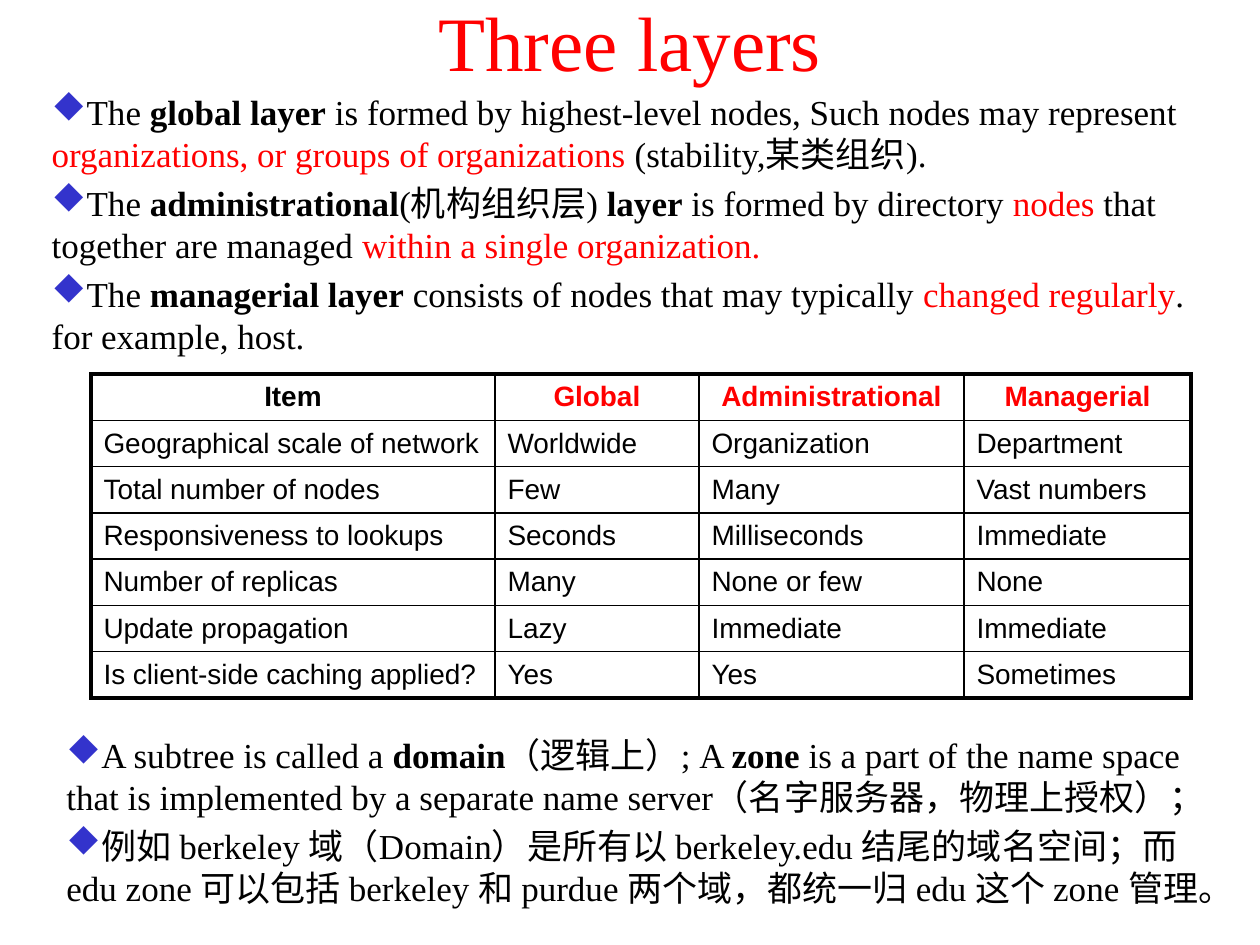
from dataclasses import dataclass

from lxml import etree
from pptx import Presentation
from pptx.dml.color import RGBColor
from pptx.enum.text import MSO_ANCHOR, MSO_AUTO_SIZE, PP_ALIGN
from pptx.oxml.ns import qn
from pptx.util import Emu, Pt

MIDDLE, TOP = MSO_ANCHOR.MIDDLE, MSO_ANCHOR.TOP
CENTER, LEFT = PP_ALIGN.CENTER, PP_ALIGN.LEFT
NO_FIT = MSO_AUTO_SIZE.NONE

PX_PER_INCH = 126
SERIF, SANS = "Times New Roman", "Arial"
BLACK, RED, BLUE = "000000", "FF0000", "3333CC"
THIN, THICK = 1, 2.25


@dataclass
class Area:
    left: int
    top: int
    width: int
    height: int


@dataclass
class Span:
    text: str
    bold: bool = False
    color: str = BLACK


def px(length: int) -> Emu:
    return Emu(round(length * 914400 / PX_PER_INCH))


def rgb(value: str) -> RGBColor:
    return RGBColor.from_string(value)


def place(shape, area: Area) -> None:
    shape.left, shape.top = px(area.left), px(area.top)
    shape.width, shape.height = px(area.width), px(area.height)


def add_bullet(para) -> None:
    props = para._p.get_or_add_pPr()
    props.set("marL", "0")
    props.set("indent", "0")
    color = etree.SubElement(props, qn("a:buClr"))
    etree.SubElement(color, qn("a:srgbClr"), val=BLUE)
    etree.SubElement(props, qn("a:buFont"), typeface="Wingdings")
    etree.SubElement(props, qn("a:buChar"), char="u")


def write_list(box, items: list[list[Span]]) -> None:
    frame = box.text_frame
    frame.word_wrap = True
    frame.auto_size = NO_FIT
    frame.vertical_anchor = TOP
    for index, spans in enumerate(items):
        para = frame.add_paragraph() if index else frame.paragraphs[0]
        para.line_spacing = Pt(24)
        para.space_before = Pt(4 if index else 0)
        add_bullet(para)
        para.font.name, para.font.size = SERIF, Pt(20)
        for span in spans:
            run = para.add_run()
            run.text = span.text
            run.font.bold = span.bold
            run.font.color.rgb = rgb(span.color)


def set_border(cell, side: str, width: float) -> None:
    line = etree.SubElement(cell._tc.get_or_add_tcPr(), qn(f"a:{side}"), w=str(Pt(width)))
    fill = etree.SubElement(line, qn("a:solidFill"))
    etree.SubElement(fill, qn("a:srgbClr"), val=BLACK)


def write_cell(cell, text: str, header: bool, color: str) -> None:
    cell.vertical_anchor = MIDDLE
    cell.text = text
    para = cell.text_frame.paragraphs[0]
    para.alignment = CENTER if header else LEFT
    para.font.name, para.font.size = SANS, Pt(16)
    para.font.bold = header
    para.font.color.rgb = rgb(color)


def draw_table(page, area: Area, widths: list[int], rows: list[list[str]]) -> None:
    table = page.shapes.add_table(
        len(rows), len(widths), px(area.left), px(area.top), px(area.width), px(area.height)
    ).table
    table.horz_banding = table.first_row = False
    for column, width in zip(table.columns, widths):
        column.width = px(width)
    last_row, last_col = len(rows) - 1, len(widths) - 1
    for r, texts in enumerate(rows):
        for c, text in enumerate(texts):
            cell = table.cell(r, c)
            write_cell(cell, text, r == 0, RED if r == 0 and c > 0 else BLACK)
            # The outer frame is heavier than the inner grid
            outer = {"lnL": c == 0, "lnR": c == last_col, "lnT": r == 0, "lnB": r == last_row}
            for side, on_frame in outer.items():
                set_border(cell, side, THICK if on_frame else THIN)
            cell.fill.background()


LAYERS = [
    [
        Span("The "),
        Span("global layer", bold=True),
        Span(" is formed by highest-level nodes, Such nodes may represent "),
        Span("organizations, or groups of organizations ", color=RED),
        Span("(stability,某类组织)."),
    ],
    [
        Span("The "),
        Span("administrational", bold=True),
        Span("(机构组织层) "),
        Span("layer", bold=True),
        Span(" is formed by directory "),
        Span("nodes ", color=RED),
        Span("that together are managed "),
        Span("within a single organization.", color=RED),
    ],
    [
        Span("The "),
        Span("managerial layer", bold=True),
        Span(" consists of nodes that may typically "),
        Span("changed regularly", color=RED),
        Span(". for example, host."),
    ],
]

DOMAINS = [
    [
        Span("A subtree is called a "),
        Span("domain", bold=True),
        Span("（逻辑上）; A "),
        Span("zone", bold=True),
        Span(
            " is a part of the name space that is implemented by a separate "
            "name server（名字服务器，物理上授权）；"
        ),
    ],
    [
        Span(
            "例如 berkeley 域（Domain）是所有以 berkeley.edu 结尾的域名空间；"
            "而 edu zone 可以包括 berkeley 和 purdue 两个域，都统一归 edu 这个 zone 管理。"
        ),
    ],
]

COMPARISON = [
    ["Item", "Global", "Administrational", "Managerial"],
    ["Geographical scale of network", "Worldwide", "Organization", "Department"],
    ["Total number of nodes", "Few", "Many", "Vast numbers"],
    ["Responsiveness to lookups", "Seconds", "Milliseconds", "Immediate"],
    ["Number of replicas", "Many", "None or few", "None"],
    ["Update propagation", "Lazy", "Immediate", "Immediate"],
    ["Is client-side caching applied?", "Yes", "Yes", "Sometimes"],
]


def main() -> None:
    deck = Presentation()
    deck.slide_width, deck.slide_height = px(1260), px(945)
    page = deck.slides.add_slide(deck.slide_layouts[1])
    title, body = page.placeholders

    # Title
    place(title, Area(0, 0, 1260, 82))
    title.text_frame.text = "Three layers"
    title.text_frame.auto_size = NO_FIT
    title.text_frame.vertical_anchor = MIDDLE
    heading = title.text_frame.paragraphs[0]
    heading.alignment = CENTER
    heading.font.name, heading.font.size = SERIF, Pt(44)
    heading.font.color.rgb = rgb(RED)

    # The three layers
    place(body, Area(39, 84, 1198, 277))
    write_list(body, LAYERS)

    # Domains and zones
    notes = page.shapes.add_textbox(px(54), px(727), px(1173), px(194))
    write_list(notes, DOMAINS)

    # Comparison of the layers
    draw_table(page, Area(91, 374, 1100, 324), [404, 204, 265, 227], COMPARISON)

    deck.save("out.pptx")


if __name__ == "__main__":
    main()
